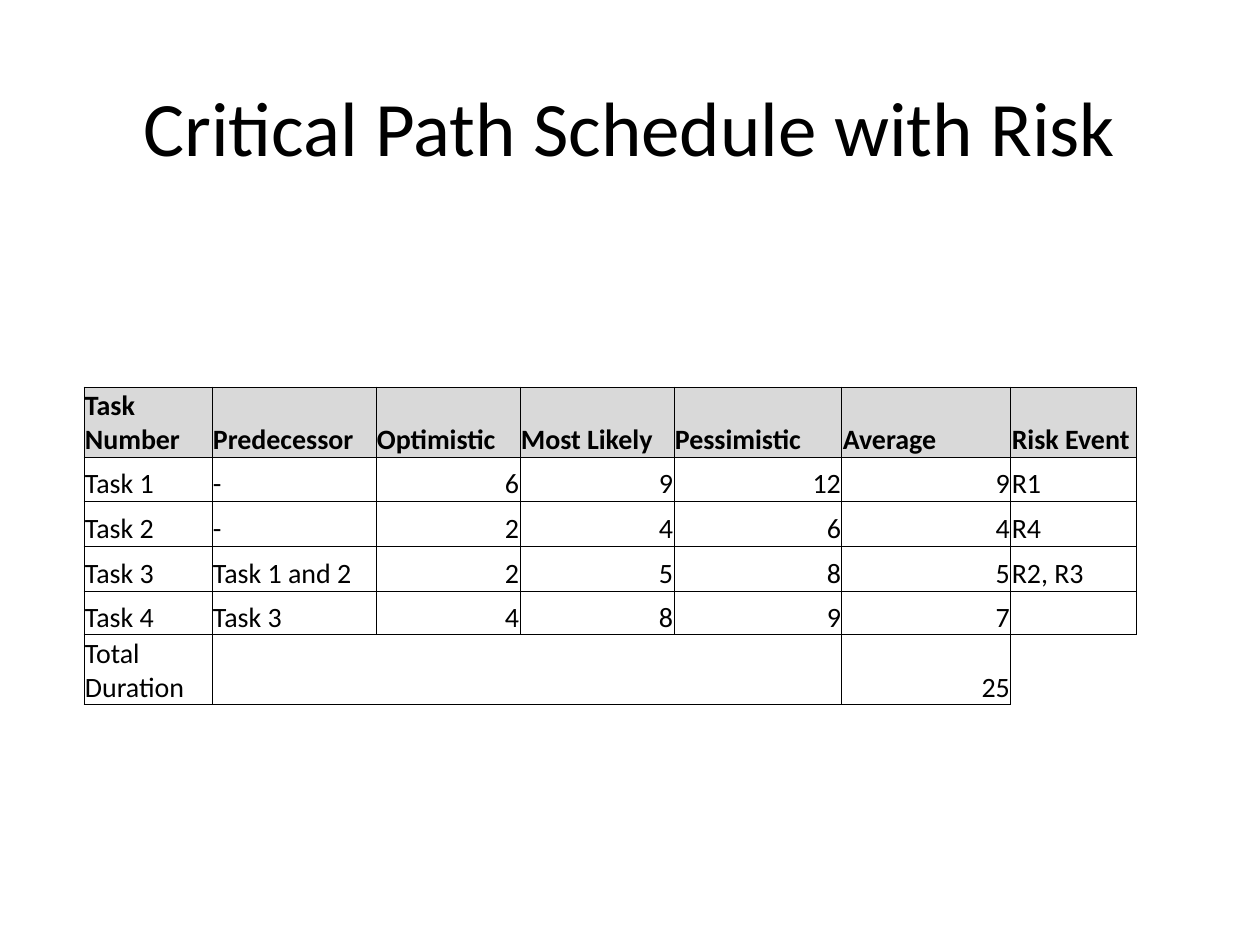
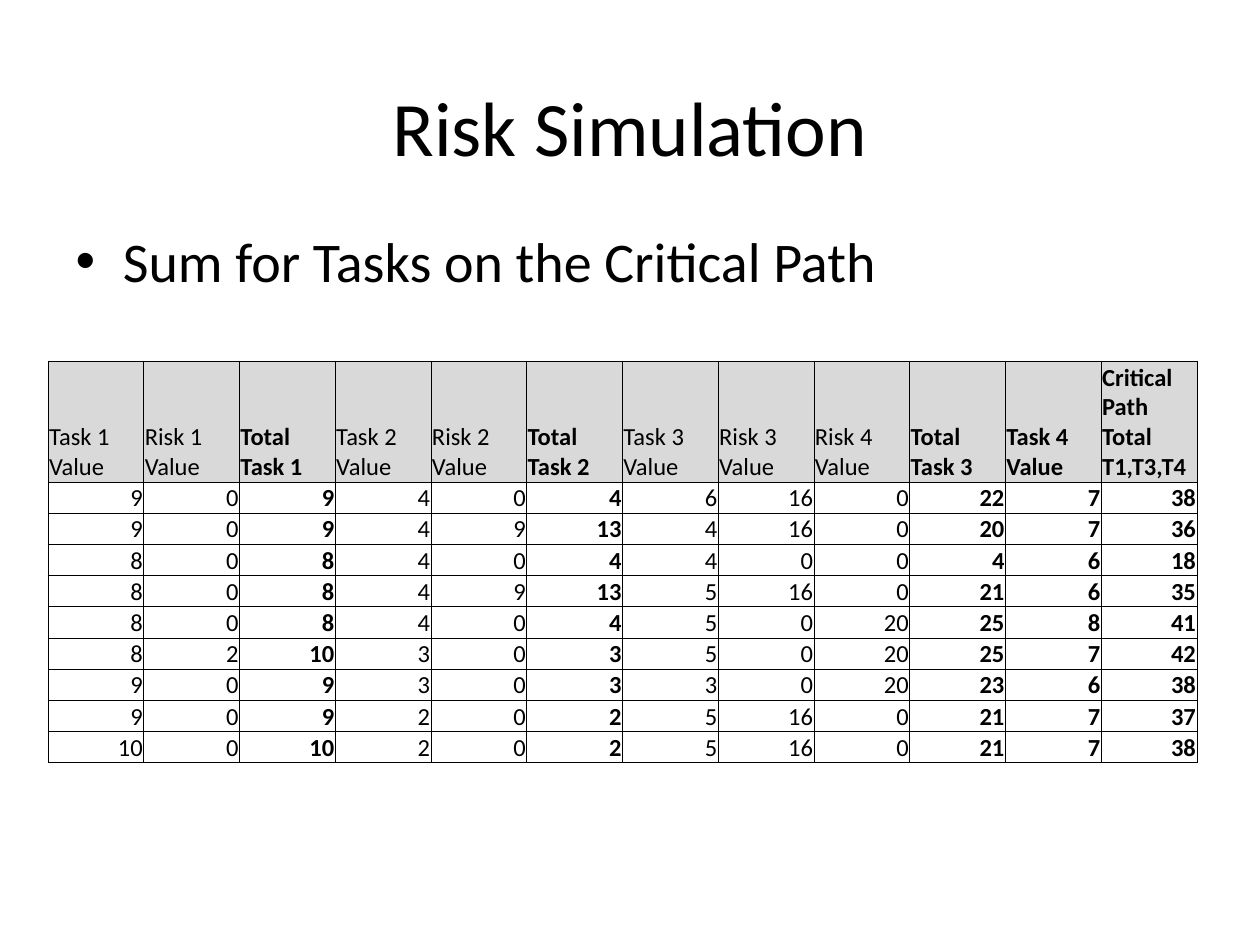
from lxml.etree import SubElement as Sub
from pptx import Presentation
from pptx.dml.color import RGBColor as Rgb
from pptx.enum.text import MSO_ANCHOR as Anchor, PP_ALIGN as Align
from pptx.oxml.ns import qn
from pptx.util import Pt

PX = 914400 / 126
HUES = {"ink": "000000", "head": "D9D9D9"}
FONT = "Calibri"
TITLE = (63, 47, 1134, 157)
BODY = (63, 220, 1134, 624)
INSET = {"margin_left": 1, "margin_right": 1, "margin_top": 1, "margin_bottom": 0}


def emu(n):
    return round(n * PX)


def hue(key):
    return Rgb.from_string(HUES[key])


def style(para, size, bold=False, align=Align.LEFT):
    para.alignment = align
    for run in para.runs:
        for key, val in {"name": FONT, "size": Pt(size), "bold": bold}.items():
            setattr(run.font, key, val)
        run.font.color.rgb = hue("ink")


def place(shape, box):
    for key, val in zip(("left", "top", "width", "height"), box):
        setattr(shape, key, emu(val))


def add_page(deck, layout, title):
    page = deck.slides.add_slide(deck.slide_layouts[layout])
    head = page.shapes.title
    place(head, TITLE)
    head.text_frame.text = title
    head.text_frame.vertical_anchor = Anchor.MIDDLE
    style(head.text_frame.paragraphs[0], 44, align=Align.CENTER)
    return page


def add_list(page, box, items):
    body = page.placeholders[1]
    place(body, box)
    body.text_frame.text = "\n".join(items)
    for para in body.text_frame.paragraphs:
        style(para, 32)


def edge(cell, sides):
    props = cell._tc.get_or_add_tcPr()
    for side in "LRTB":
        line = Sub(props, qn("a:ln" + side), w=str(Pt(0.5)))
        if side in sides:
            fill = Sub(line, qn("a:solidFill"))
            Sub(fill, qn("a:srgbClr"), val=HUES["ink"])
        else:
            Sub(line, qn("a:noFill"))


def add_grid(page, spot, wide, tall, rows, size, bold, sides):
    box = (*spot, sum(wide), sum(tall))
    grid = page.shapes.add_table(len(rows), len(wide), *map(emu, box)).table
    grid.first_row = grid.horz_banding = False
    for col, width in zip(grid.columns, wide):
        col.width = emu(width)
    for row, height in zip(grid.rows, tall):
        row.height = emu(height)
    for r, row in enumerate(rows):
        for c, val in enumerate(row):
            cell = grid.cell(r, c)
            for key, gap in INSET.items():
                setattr(cell, key, emu(gap))
            cell.vertical_anchor = Anchor.BOTTOM
            edge(cell, sides.get((r, c), "LRTB"))
            if r == 0:
                cell.fill.solid()
                cell.fill.fore_color.rgb = hue("head")
            else:
                cell.fill.background()
            if val != "":
                cell.text = str(val)
                align = Align.RIGHT if isinstance(val, int) else Align.LEFT
                style(cell.text_frame.paragraphs[0], size, bold(r, c), align)
    return grid


def plan_page(deck):
    page = add_page(deck, 5, "Critical Path Schedule with Risk")
    rows = [
        ["Task Number", "Predecessor", "Optimistic", "Most Likely",
         "Pessimistic", "Average", "Risk Event"],
        ["Task 1", "-", 6, 9, 12, 9, "R1"],
        ["Task 2", "-", 2, 4, 6, 4, "R4"],
        ["Task 3", "Task 1 and 2", 2, 5, 8, 5, "R2, R3"],
        ["Task 4", "Task 3", 4, 8, 9, 7, ""],
        ["Total Duration", "", "", "", "", 25, ""],
    ]
    wide = [128, 164, 144, 154, 168, 169, 126]
    tall = [70, 44, 45, 45, 44, 70]
    sides = {(5, 2): "TB", (5, 3): "TB", (5, 4): "RTB", (5, 6): "LT"}
    grid = add_grid(page, (84, 387), wide, tall, rows, 16,
                    lambda r, c: r == 0, sides)
    grid.cell(5, 1).merge(grid.cell(5, 4))


def risk_page(deck):
    page = add_page(deck, 1, "Risk Simulation")
    add_list(page, BODY, ["Sum for Tasks on the Critical Path"])
    rows = [
        ["Task 1 Value", "Risk 1 Value", "Total Task 1", "Task 2 Value",
         "Risk 2 Value", "Total Task 2", "Task 3 Value", "Risk 3 Value",
         "Risk 4 Value", "Total Task 3", "Task 4 Value",
         "Critical Path Total T1,T3,T4"],
        [9, 0, 9, 4, 0, 4, 6, 16, 0, 22, 7, 38],
        [9, 0, 9, 4, 9, 13, 4, 16, 0, 20, 7, 36],
        [8, 0, 8, 4, 0, 4, 4, 0, 0, 4, 6, 18],
        [8, 0, 8, 4, 9, 13, 5, 16, 0, 21, 6, 35],
        [8, 0, 8, 4, 0, 4, 5, 0, 20, 25, 8, 41],
        [8, 2, 10, 3, 0, 3, 5, 0, 20, 25, 7, 42],
        [9, 0, 9, 3, 0, 3, 3, 0, 20, 23, 6, 38],
        [9, 0, 9, 2, 0, 2, 5, 16, 0, 21, 7, 37],
        [10, 0, 10, 2, 0, 2, 5, 16, 0, 21, 7, 38],
    ]
    wide = [1149 / 12] * 12
    tall = [121] + [281 / 9] * 9
    add_grid(page, (48, 361), wide, tall, rows, 14,
             lambda r, c: c in (2, 5, 9, 10, 11), {})


deck = Presentation()
deck.slide_width, deck.slide_height = emu(1260), emu(945)
plan_page(deck)
risk_page(deck)
deck.save("out.pptx")
